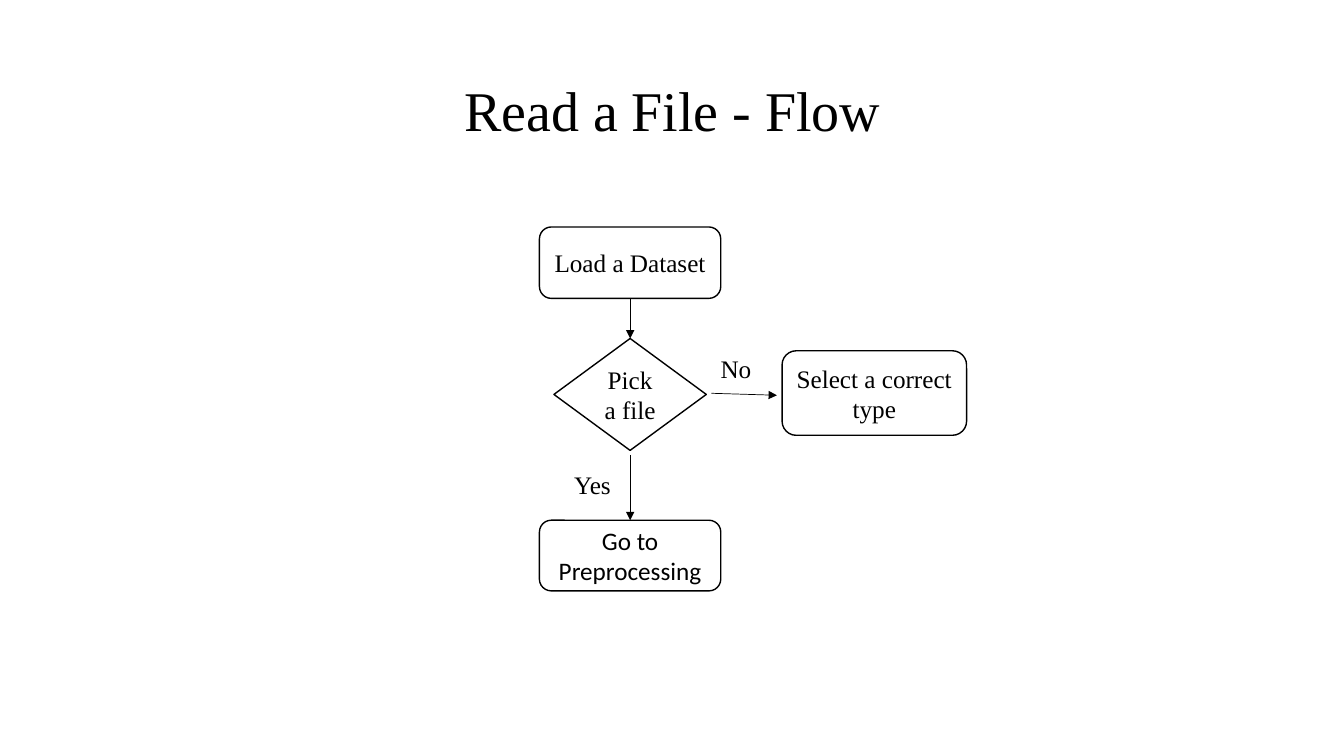
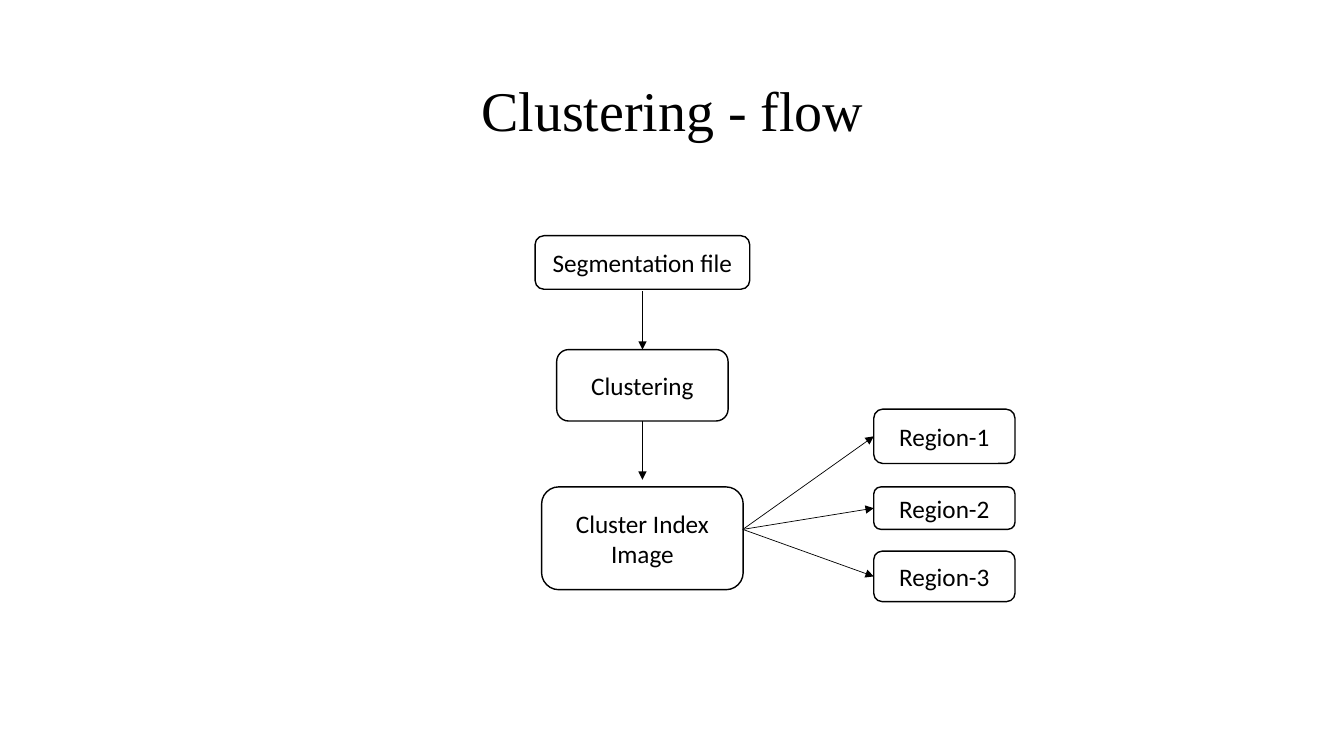
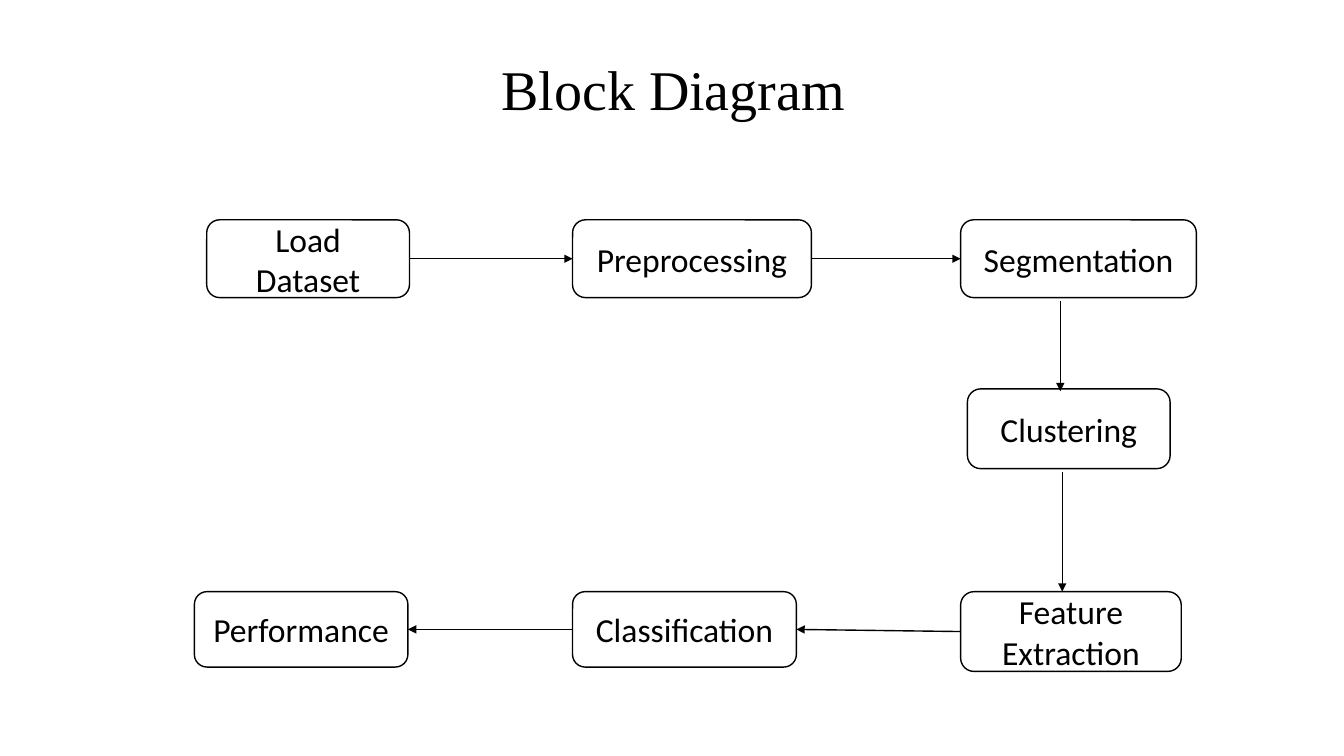
from lxml import etree
from pptx import Presentation
from pptx.dml.color import RGBColor
from pptx.enum.shapes import MSO_CONNECTOR, MSO_SHAPE
from pptx.enum.text import MSO_ANCHOR, PP_ALIGN
from pptx.oxml.ns import qn
from pptx.util import Cm, Pt

BLACK = RGBColor(0x00, 0x00, 0x00)
WHITE = RGBColor(0xFF, 0xFF, 0xFF)
SERIF = "Times New Roman"
SANS = "Calibri"
TOP, LEFT, BOTTOM, RIGHT = range(4)  # connection sites


def write(shape, text, font, size, align=PP_ALIGN.CENTER):
    paragraph = shape.text_frame.paragraphs[0]
    paragraph.text = text
    paragraph.alignment = align
    paragraph.font.name = font
    paragraph.font.size = Pt(size)
    paragraph.font.color.rgb = BLACK
    return paragraph


def add_titled_slide(prs, text, left=2.34, top=1.02, height=3.68):
    slide = prs.slides.add_slide(prs.slide_layouts[6])
    title = slide.shapes.add_textbox(Cm(left), Cm(top), Cm(29.21), Cm(height))
    title.text_frame.word_wrap = True
    title.text_frame.vertical_anchor = MSO_ANCHOR.MIDDLE
    write(title, text, SERIF, 40).line_spacing = 0.9
    return slide


def add_step(slide, text, left, top, width, height, font=SANS, size=18,
             outline=MSO_SHAPE.ROUNDED_RECTANGLE):
    step = slide.shapes.add_shape(outline, Cm(left), Cm(top), Cm(width), Cm(height))
    step.shadow.inherit = False
    step.fill.solid()
    step.fill.fore_color.rgb = WHITE
    step.line.color.rgb = BLACK
    step.line.width = Pt(1)
    step.text_frame.word_wrap = True
    step.text_frame.vertical_anchor = MSO_ANCHOR.MIDDLE
    write(step, text, font, size)
    return step


def add_centred_step(slide, text, centre, top, width, height, **style):
    return add_step(slide, text, centre - width / 2, top, width, height, **style)


def add_branch_label(slide, text, left, top, width):
    label = slide.shapes.add_textbox(Cm(left), Cm(top), Cm(width), Cm(1.02))
    label.text_frame.word_wrap = False
    write(label, text, SERIF, 18, PP_ALIGN.LEFT)


def add_arrow(slide, start, end, width=0.5):
    """Each end is either an (x, y) point in cm or a (shape, site) pair."""
    points = [(0, 0) if hasattr(spot[0], "shape_id") else spot for spot in (start, end)]
    arrow = slide.shapes.add_connector(
        MSO_CONNECTOR.STRAIGHT, *(Cm(value) for point in points for value in point))
    for spot, connect in ((start, arrow.begin_connect), (end, arrow.end_connect)):
        if hasattr(spot[0], "shape_id"):
            connect(*spot)
    arrow.line.color.rgb = BLACK
    arrow.line.width = Pt(width)
    etree.SubElement(arrow.line._get_or_add_ln(), qn("a:tailEnd"), type="triangle")
    etree.SubElement(arrow._element.spPr, qn("a:effectLst"))


def build_read_file(prs):
    slide = add_titled_slide(prs, "Read a File - Flow")
    axis = 15.88
    load = add_centred_step(slide, "Load a Dataset", axis, 5.72, 4.57, 1.8, font=SERIF)
    pick = add_centred_step(slide, "Pick a file", axis, 8.53, 3.84, 2.82, font=SERIF,
                            outline=MSO_SHAPE.DIAMOND)
    add_step(slide, "Select a correct type", 19.71, 8.84, 4.65, 2.13, font=SERIF)
    preprocess = add_centred_step(slide, "Go to Preprocessing", axis, 13.11, 4.57, 1.78)

    add_arrow(slide, (load, BOTTOM), (pick, TOP))
    add_arrow(slide, (17.93, 9.91), (19.58, 9.96))
    add_arrow(slide, (axis, 11.46), (preprocess, TOP))
    add_branch_label(slide, "No", 17.91, 8.79, 1.3)
    add_branch_label(slide, "Yes", 14.22, 11.71, 1.45)


def build_clustering(prs):
    slide = add_titled_slide(prs, "Clustering - flow")
    axis = 16.19
    add_centred_step(slide, "Segmentation file", axis, 5.94, 5.41, 1.35)
    clustering = add_centred_step(slide, "Clustering", axis, 8.81, 4.32, 1.8)
    add_centred_step(slide, "Cluster Index Image", axis, 12.27, 5.08, 2.59)
    add_arrow(slide, (axis, 7.34), (clustering, TOP))
    add_arrow(slide, (clustering, BOTTOM), (axis, 12.09))

    # Regions fan out from the index image
    for number, (top, height) in enumerate(((10.31, 1.37), (12.27, 1.07), (13.89, 1.27)), 1):
        region = add_step(slide, f"Region-{number}", 22.02, top, 3.56, height)
        add_arrow(slide, (18.72, 13.34), (region, LEFT))


def build_block_diagram(prs):
    slide = add_titled_slide(prs, "Block Diagram", 2.36, 1.24, 2.16)
    upper, lower = 5.54, 14.91
    middle_left, right_left = 14.43, 24.21
    load, preprocessing, segmentation, clustering, features, classification, performance = (
        add_step(slide, *block, size=24) for block in (
            ("Load Dataset", 5.21, upper, 5.11, 1.96),
            ("Preprocessing", middle_left, upper, 6.02, 1.96),
            ("Segmentation", right_left, upper, 5.94, 1.96),
            ("Clustering", 24.38, 9.8, 5.11, 2.01),
            ("Feature Extraction", right_left, lower, 5.56, 2.01),
            ("Classification", middle_left, lower, 5.64, 1.9),
            ("Performance", 4.9, lower, 5.38, 1.9),
        ))

    # Right along the top, down the side, back along the bottom
    for start, end in (
        ((load, RIGHT), (preprocessing, LEFT)),
        ((preprocessing, RIGHT), (segmentation, LEFT)),
        ((26.72, 7.59), (26.72, 9.86)),
        ((26.77, 11.89), (26.77, lower)),
        ((features, LEFT), (classification, RIGHT)),
        ((classification, LEFT), (performance, RIGHT)),
    ):
        add_arrow(slide, start, end, width=1)


def main():
    prs = Presentation()
    prs.slide_width, prs.slide_height = Cm(33.87), Cm(19.05)
    build_read_file(prs)
    build_clustering(prs)
    build_block_diagram(prs)
    prs.save("out.pptx")


if __name__ == "__main__":
    main()
